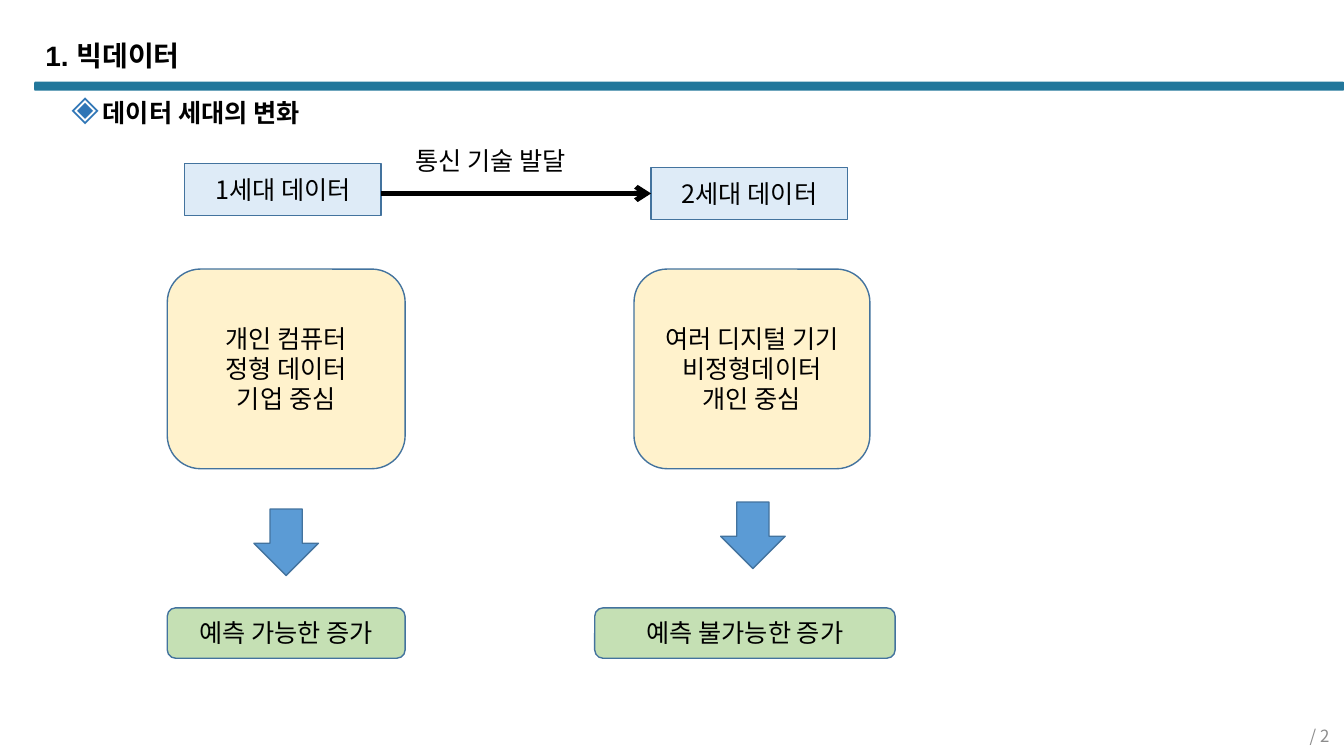
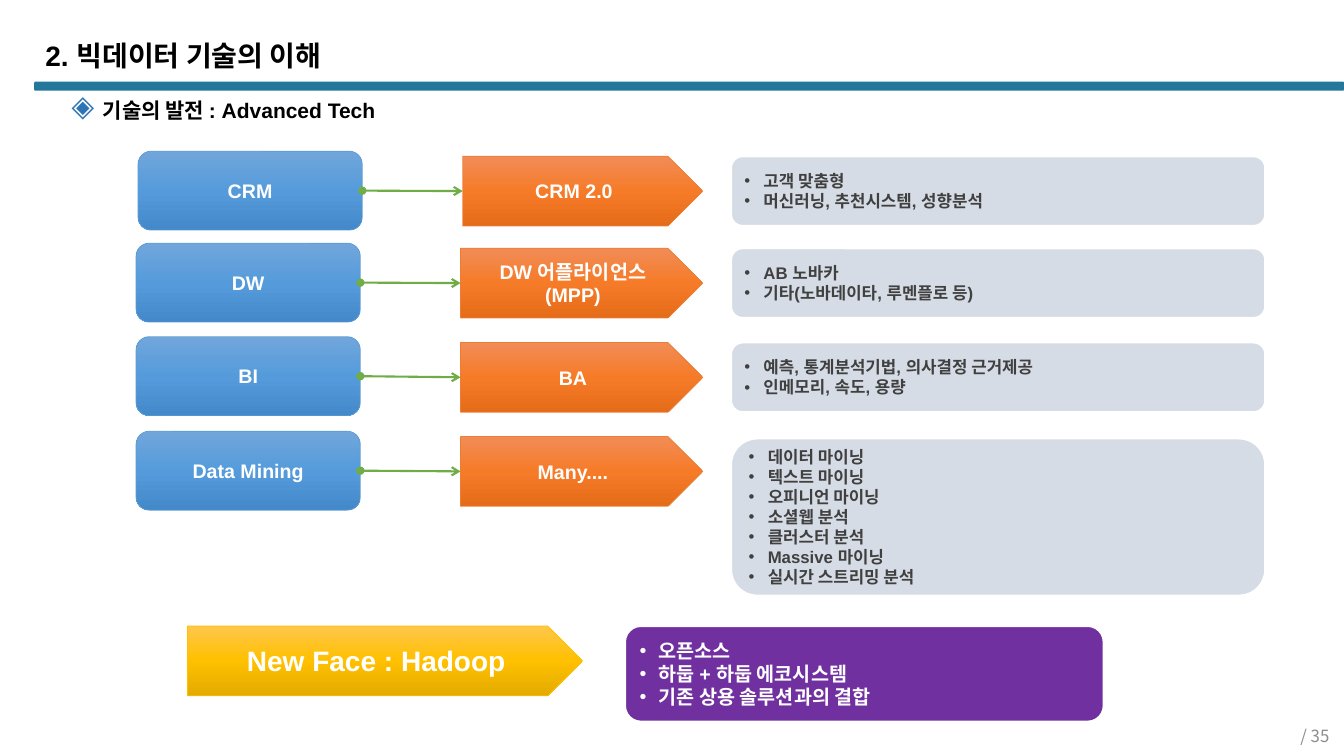
from copy import deepcopy

from lxml import etree
from pptx import Presentation
from pptx.dml.color import RGBColor
from pptx.enum.shapes import MSO_CONNECTOR, MSO_SHAPE
from pptx.enum.text import MSO_ANCHOR, MSO_AUTO_SIZE, PP_ALIGN
from pptx.oxml.ns import qn
from pptx.util import Pt

RECT, ROUNDED = MSO_SHAPE.RECTANGLE, MSO_SHAPE.ROUNDED_RECTANGLE
PENTAGON, DOWN_ARROW = MSO_SHAPE.PENTAGON, MSO_SHAPE.DOWN_ARROW
STRAIGHT = MSO_CONNECTOR.STRAIGHT
LEFT, CENTER, RIGHT = PP_ALIGN.LEFT, PP_ALIGN.CENTER, PP_ALIGN.RIGHT
TOP, MIDDLE = MSO_ANCHOR.TOP, MSO_ANCHOR.MIDDLE
NO_AUTOFIT = MSO_AUTO_SIZE.NONE

BLACK = RGBColor(0x00, 0x00, 0x00)
WHITE = RGBColor(0xFF, 0xFF, 0xFF)
DARK_GRAY = RGBColor(0x40, 0x40, 0x40)
PAGE_GRAY = RGBColor(0x8C, 0x8C, 0x8C)
TEAL = RGBColor(0x22, 0x77, 0x9B)
BULLET_BLUE = RGBColor(0x2E, 0x75, 0xB6)
OUTLINE_BLUE = RGBColor(0x43, 0x73, 0x9E)
PALE_BLUE = RGBColor(0xDE, 0xEB, 0xF7)
CREAM = RGBColor(0xFF, 0xF2, 0xCC)
PALE_GREEN = RGBColor(0xC5, 0xE0, 0xB4)
BLUE = RGBColor(0x5B, 0x9B, 0xD5)
ORANGE = RGBColor(0xED, 0x7D, 0x31)
GOLD = RGBColor(0xFF, 0xC0, 0x00)
GREEN = RGBColor(0x70, 0xAD, 0x47)
BLUE_GRAY = RGBColor(0xD6, 0xDC, 0xE5)
PURPLE = RGBColor(0x70, 0x30, 0xA0)
BLUE_SHADES = (RGBColor(0x71, 0xA6, 0xDB), RGBColor(0x55, 0x9B, 0xDB), RGBColor(0x44, 0x8A, 0xCA))
ORANGE_SHADES = (RGBColor(0xF1, 0x8C, 0x57), RGBColor(0xF6, 0x7B, 0x28), RGBColor(0xE5, 0x6C, 0x19))
GOLD_SHADES = (RGBColor(0xFF, 0xC6, 0x4B), GOLD, RGBColor(0xE3, 0xAB, 0x00))

ARIAL, NOTO = "Arial", "Noto Sans CJK KR"
LINE_FACTOR = 1.19
DEFAULT_INSETS, FLAT_INSETS, NO_INSETS = (7.2, 3.6), (7.2, 0), (0, 0)
DIAMOND = {"char": "◈", "indent": 22.3, "color": BULLET_BLUE, "percent": 140}
DOT = {"char": "•", "indent": 13.7}


def text_style(size, color, name=ARIAL, bold=True, align=LEFT, bullet=None):
    return {"font": {"size": Pt(size), "name": name, "bold": bold}, "color": color,
            "align": align, "bullet": bullet, "pitch": Pt(round(size * LINE_FACTOR, 1))}


TITLE = text_style(20, BLACK)
PAGE = text_style(12, PAGE_GRAY, NOTO, False, RIGHT)
LABEL = text_style(18, BLACK, NOTO, False)
CENTERED_LABEL = text_style(18, BLACK, NOTO, False, CENTER)
STEP = text_style(14, WHITE, align=CENTER)
NEW_FACE = text_style(20, WHITE, align=CENTER)
DETAIL = text_style(12, DARK_GRAY, bullet=DOT)
HIGHLIGHT = text_style(14, WHITE, bullet=DOT)

GENERATIONS = [
    {"name": "1세대 데이터", "name_at": (131.8, 116.6),
     "traits": ["개인 컴퓨터", "정형 데이터", "기업 중심"], "traits_at": (119.5, 192.2, 169.9, 142.6),
     "arrow_at": (181.4, 363.6),
     "growth": "예측 가능한 증가", "growth_at": (119.5, 434.2, 169.9, 36)},
    {"name": "2세대 데이터", "name_at": (465.1, 119.5),
     "traits": ["여러 디지털 기기", "비정형데이터", "개인 중심"], "traits_at": (452.9, 192.2, 168.5, 142.6),
     "arrow_at": (514.8, 358.6),
     "growth": "예측 불가능한 증가", "growth_at": (424.8, 434.2, 214.6, 36)},
]
GENERATION_SIZE, DOWN_SIZE = (140.4, 37.4), (46.1, 47.5)

ADVANCES = [
    {"before": "CRM", "before_at": (98.6, 108), "after": ["CRM 2.0"],
     "after_at": (330.5, 111.6), "details": ["고객 맞춤형", "머신러닝, 추천시스템, 성향분석"],
     "details_top": 111.6},
    {"before": "DW", "before_at": (97.2, 173.7), "after": ["DW 어플라이언스", "(MPP)"],
     "after_at": (329, 177.3), "details": ["AB 노바카", "기타(노바데이타, 루멘플로 등)"],
     "details_top": 177.3},
    {"before": "BI", "before_at": (97.2, 240.5), "after": ["BA"],
     "after_at": (329, 244.6), "details": ["예측, 통계분석기법, 의사결정 근거제공", "인메모리, 속도, 용량"],
     "details_top": 244.6},
    {"before": "Data Mining", "before_at": (97.2, 308), "after": ["Many...."],
     "after_at": (329, 311.8),
     "details": ["데이터 마이닝", "텍스트 마이닝", "오피니언 마이닝", "소셜웹 분석",
                 "클러스터 분석", "Massive 마이닝", "실시간 스트리밍 분석"],
     "details_top": 313.2, "details_height": 112.3},
]
BEFORE_SIZE = (160.2, 56.4)
PLATE_HEIGHT, AFTER_RIGHT = 49.8, 502
DETAILS_LEFT, DETAILS_WIDTH = 522.2, 381.6
OPEN_SOURCE = ["오픈소스", "하둡 + 하둡 에코시스템", "기존 상용 솔루션과의 결합"]


def points(*lengths):
    return [Pt(length) for length in lengths]


def add_bullet(paragraph, bullet):
    properties = paragraph._p.get_or_add_pPr()
    properties.set("marL", str(Pt(bullet["indent"])))
    properties.set("indent", str(-Pt(bullet["indent"])))
    if "color" in bullet:
        color = etree.SubElement(properties, qn("a:buClr"))
        etree.SubElement(color, qn("a:srgbClr"), val=str(bullet["color"]))
        etree.SubElement(properties, qn("a:buSzPct"), val=str(bullet["percent"] * 1000))
    else:
        etree.SubElement(properties, qn("a:buFont"), typeface=ARIAL)
    etree.SubElement(properties, qn("a:buChar"), char=bullet["char"])


def write(frame, lines, style, anchor=MIDDLE, insets=DEFAULT_INSETS):
    side, end = points(*insets)
    settings = {"word_wrap": True, "auto_size": NO_AUTOFIT, "vertical_anchor": anchor,
                "margin_left": side, "margin_right": side,
                "margin_top": end, "margin_bottom": end}
    for attribute, value in settings.items():
        setattr(frame, attribute, value)
    for index, line in enumerate(lines):
        paragraph = frame.paragraphs[0] if index == 0 else frame.add_paragraph()
        if style["bullet"]:
            add_bullet(paragraph, style["bullet"])
        paragraph.alignment = style["align"]
        paragraph.line_spacing = style["pitch"]
        run = paragraph.add_run()
        run.text = line
        for attribute, value in style["font"].items():
            setattr(run.font, attribute, value)
        run.font.color.rgb = style["color"]
        etree.SubElement(run._r.get_or_add_rPr(), qn("a:ea"), typeface=NOTO)


def add_text(slide, box, lines, style, anchor=TOP, insets=DEFAULT_INSETS):
    write(slide.shapes.add_textbox(*points(*box)).text_frame, lines, style, anchor, insets)


def shade(shape, shades):
    shape.fill.gradient()
    shape.fill.gradient_angle = 270
    stop_list = shape._element.spPr.find(".//" + qn("a:gsLst"))
    stop_list.insert(1, deepcopy(stop_list[0]))
    for stop, position, color in zip(shape.fill.gradient_stops, (0, 0.5, 1), shades):
        stop.position = position
        stop.color.rgb = color


def add_block(slide, kind, box, fill, outline=None, width=1, lines=(), style=None,
              insets=DEFAULT_INSETS):
    block = slide.shapes.add_shape(kind, *points(*box))
    block.shadow.inherit = False
    if isinstance(fill, RGBColor):
        block.fill.solid()
        block.fill.fore_color.rgb = fill
    else:
        shade(block, fill)
    if outline is None:
        block.line.fill.background()
    else:
        block.line.color.rgb = outline
        block.line.width = Pt(width)
    if lines:
        write(block.text_frame, lines, style, insets=insets)
    return block


def add_arrow(slide, start, target, color, width, source=None, head=None):
    arrow = slide.shapes.add_connector(STRAIGHT, *points(*start, *start))
    if source is not None:
        arrow.begin_connect(source, 3)
    arrow.end_connect(target, 1)
    arrow.line.color.rgb = color
    arrow.line.width = Pt(width)
    outline = arrow.line._get_or_add_ln()
    if head:
        etree.SubElement(outline, qn("a:headEnd"), type=head)
    etree.SubElement(outline, qn("a:tailEnd"), type="arrow")
    etree.SubElement(arrow._element.spPr, qn("a:effectLst"))


def start_slide(deck, title, topic, topic_size, page):
    slide = deck.slides.add_slide(deck.slide_layouts[5])
    band = add_block(slide, ROUNDED, (24.5, 58.3, 935.5, 6.5), TEAL)
    band.adjustments[0] = 0.13
    heading = slide.shapes.title
    frame = dict(zip(("left", "top", "width", "height"), points(25.2, 23.8, 313.2, 33.8)))
    for attribute, value in frame.items():
        setattr(heading, attribute, value)
    write(heading.text_frame, [title], TITLE, TOP)
    add_text(slide, (51.1, 69.8, 632.2, 21.6), [topic],
             text_style(topic_size, BLACK, bullet=DIAMOND), insets=NO_INSETS)
    add_text(slide, (735.8, 517.7, 217.4, 16.6), [page], PAGE, MIDDLE, (3.6, 0))
    return slide


def build_generations(deck):
    slide = start_slide(deck, "1. 빅데이터", "데이터 세대의 변화", 18, "/ 2")
    names = []
    for generation in GENERATIONS:
        names.append(add_block(slide, RECT, generation["name_at"] + GENERATION_SIZE, PALE_BLUE,
                               OUTLINE_BLUE, lines=[generation["name"]], style=CENTERED_LABEL))
        add_block(slide, ROUNDED, generation["traits_at"], CREAM, OUTLINE_BLUE,
                  lines=generation["traits"], style=CENTERED_LABEL)
        add_block(slide, DOWN_ARROW, generation["arrow_at"] + DOWN_SIZE, BLUE, OUTLINE_BLUE)
        add_block(slide, ROUNDED, generation["growth_at"], PALE_GREEN, OUTLINE_BLUE,
                  lines=[generation["growth"]], style=CENTERED_LABEL)
    add_arrow(slide, (272.2, 138.2), names[1], BLACK, 3.5)
    add_text(slide, (289.4, 100.8, 135.4, 28.8), ["통신 기술 발달"], LABEL)


def build_advances(deck):
    slide = start_slide(deck, "2. 빅데이터 기술의 이해", "기술의 발전 : Advanced Tech", 15, "/ 35")
    for advance in ADVANCES:
        before = add_block(slide, ROUNDED, advance["before_at"] + BEFORE_SIZE, BLUE_SHADES, BLUE,
                           0.5, [advance["before"]], STEP, FLAT_INSETS)
        left, top = advance["after_at"]
        after = add_block(slide, PENTAGON, (left, top, AFTER_RIGHT - left, PLATE_HEIGHT),
                          ORANGE_SHADES, ORANGE, 0.5, advance["after"], STEP, FLAT_INSETS)
        add_arrow(slide, advance["before_at"], after, GREEN, 1.5, before, "oval")
        details_box = (DETAILS_LEFT, advance["details_top"], DETAILS_WIDTH,
                       advance.get("details_height", PLATE_HEIGHT))
        add_block(slide, ROUNDED, details_box, BLUE_GRAY, WHITE, 1.5,
                  advance["details"], DETAIL, FLAT_INSETS)
    add_block(slide, PENTAGON, (133.9, 447.1, 282.2, PLATE_HEIGHT), GOLD_SHADES, GOLD, 0.5,
              ["New Face : Hadoop"], NEW_FACE, FLAT_INSETS)
    add_block(slide, ROUNDED, (446.4, 447.1, 342, 68.4), PURPLE, WHITE, 1.5,
              OPEN_SOURCE, HIGHLIGHT, FLAT_INSETS)


def main():
    deck = Presentation()
    deck.slide_width, deck.slide_height = points(960, 540)
    build_generations(deck)
    build_advances(deck)
    deck.save("out.pptx")


if __name__ == "__main__":
    main()
